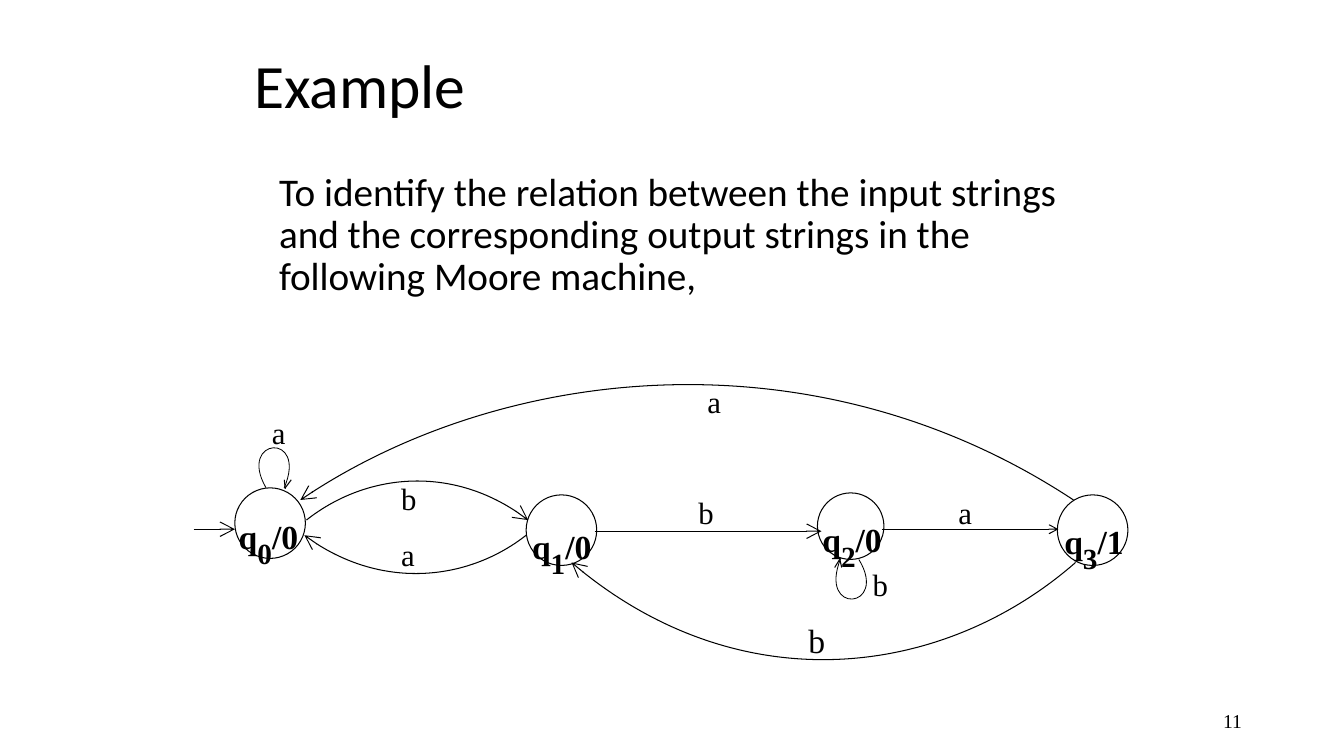
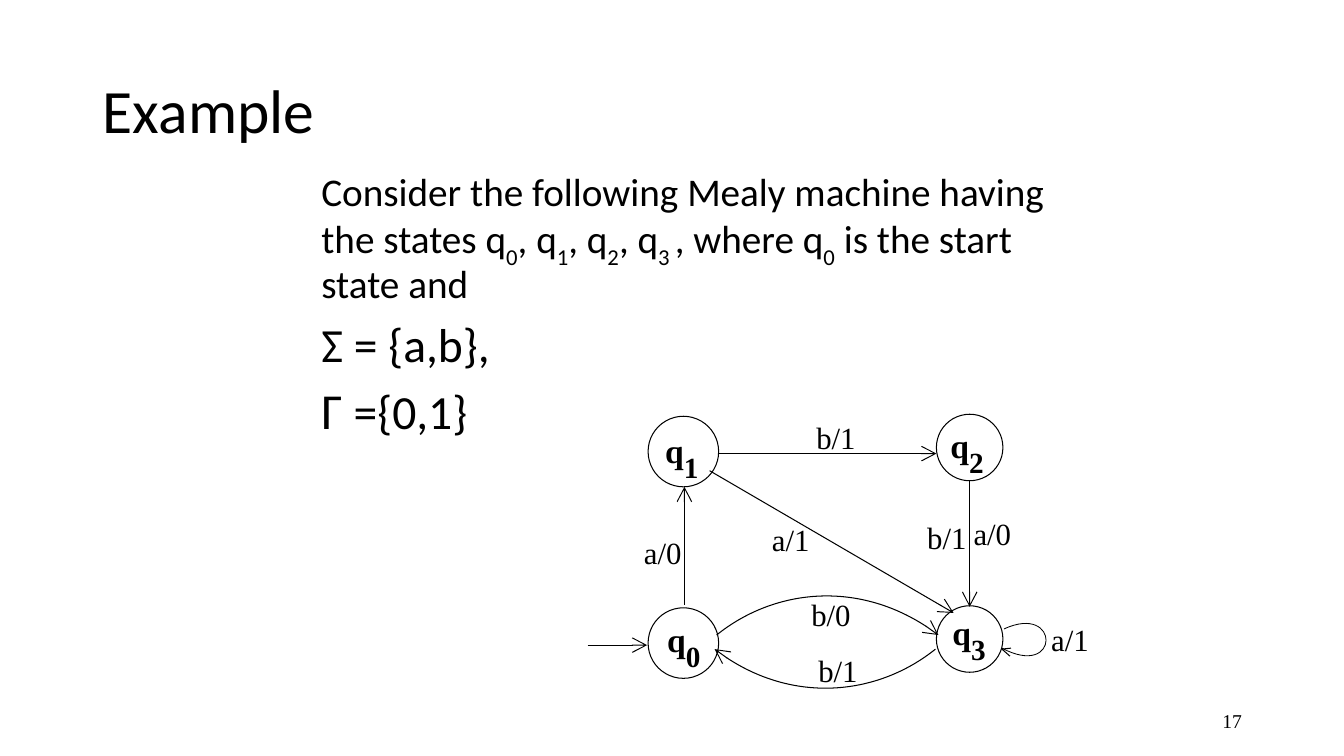
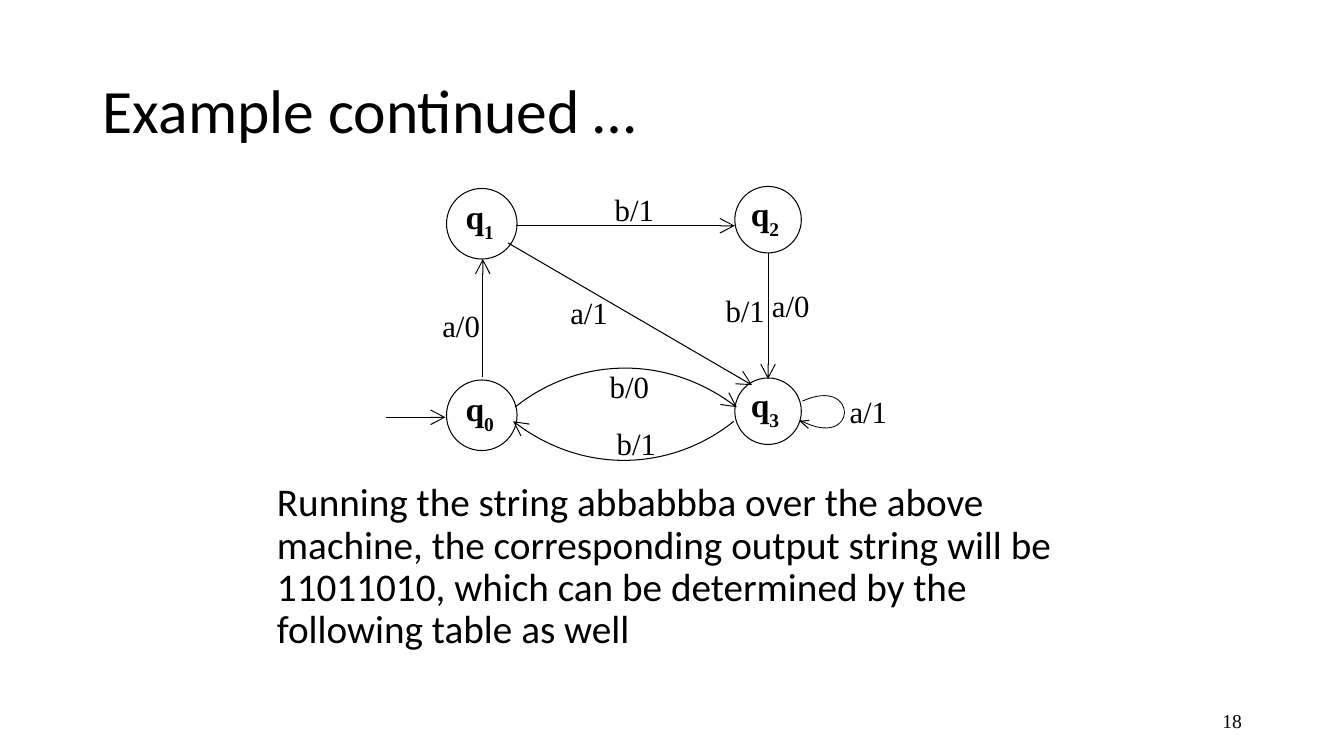
import math

from lxml import etree
from pptx import Presentation
from pptx.dml.color import RGBColor
from pptx.enum import shapes, text
from pptx.oxml.ns import qn
from pptx.util import Inches, Pt

COLORS = {"ink": "000000", "paper": "FFFFFF"}
TITLE_FONT, LABEL_FONT = "Calibri", "Times New Roman"
LINE_WIDTH, LOOP_WIDTH = 0.75, 0.6
MEALY_SHIFT = (-2, -2.26)


def color(name):
    """Return a palette colour."""
    return RGBColor.from_string(COLORS[name])


def style_paragraph(p, font, bold=False, align=text.PP_ALIGN.LEFT):
    """Set the font and alignment of a whole paragraph."""
    p.alignment = align
    p.font.name = font
    p.font.bold = bold
    p.font.color.rgb = color("ink")


def add_runs(p, markup, size, sub_size=None):
    """Add runs; parts between tildes become subscripts."""
    for i, part in enumerate(markup.split("~")):
        if not part:
            continue
        r = p.add_run()
        r.text = part
        r.font.size = Pt(size)
        if i % 2:
            r.font.size = Pt(sub_size or size)
            r._r.get_or_add_rPr().set("baseline", "-30000")


def add_text_box(s, x, y, w, h):
    """Add an empty wrapping text box and return its frame."""
    tf = s.shapes.add_textbox(Inches(x), Inches(y), Inches(w), Inches(h)).text_frame
    tf.word_wrap = True
    return tf


def add_label(s, markup, x, y, w=0.41, h=0.4, size=22, sub_size=None, bold=False):
    """Add a one-line diagram label."""
    p = add_text_box(s, x, y, w, h).paragraphs[0]
    style_paragraph(p, LABEL_FONT, bold)
    add_runs(p, markup, size, sub_size)


def add_body(s, x, y, h, indent, paragraphs):
    """Add body text; each paragraph is a list of (markup, size)."""
    tf = add_text_box(s, x, y, 8.5, h)
    for i, parts in enumerate(paragraphs):
        p = tf.add_paragraph() if i else tf.paragraphs[0]
        style_paragraph(p, TITLE_FONT)
        p.line_spacing = 0.9
        p.space_before = Pt(10)
        p._p.get_or_add_pPr().set("marL", str(Inches(indent)))
        for markup, size in parts:
            add_runs(p, markup, size)


def add_slide(prs, title, number, box=(0.92, 0.4, 11.5, 1.45)):
    """Add a slide with its title and page number."""
    s = prs.slides.add_slide(prs.slide_layouts[5])
    sp = s.shapes.title
    sp.left, sp.top, sp.width, sp.height = map(Inches, box)
    tf = sp.text_frame
    tf.auto_size = text.MSO_AUTO_SIZE.NONE
    tf.vertical_anchor = text.MSO_ANCHOR.MIDDLE
    p = tf.paragraphs[0]
    style_paragraph(p, TITLE_FONT)
    p.line_spacing = 0.9
    add_runs(p, title, 44)

    tf = add_text_box(s, 9.42, 6.95, 3, 0.4)
    tf.vertical_anchor = text.MSO_ANCHOR.MIDDLE
    style_paragraph(tf.paragraphs[0], LABEL_FONT, align=text.PP_ALIGN.RIGHT)
    add_runs(tf.paragraphs[0], str(number), 14)
    return s


def style_line(line, width=LINE_WIDTH):
    """Set an outline's colour and width."""
    line.color.rgb = color("ink")
    line.width = Pt(width)


def add_arrowhead(line, size="lg"):
    """Put an open arrowhead at the end of a line."""
    etree.SubElement(line._get_or_add_ln(), qn("a:tailEnd"), type="arrow", w=size, len=size)


def add_state(s, x, y, d):
    """Add a state circle."""
    sp = s.shapes.add_shape(shapes.MSO_SHAPE.OVAL, Inches(x), Inches(y), Inches(d), Inches(d))
    sp.shadow.inherit = False
    sp.fill.solid()
    sp.fill.fore_color.rgb = color("paper")
    style_line(sp.line)


def add_arrow(s, x1, y1, x2, y2, head="lg"):
    """Add a straight transition arrow."""
    c = s.shapes.add_connector(
        shapes.MSO_CONNECTOR.STRAIGHT, Inches(x1), Inches(y1), Inches(x2), Inches(y2))
    style_line(c.line)
    add_arrowhead(c.line, head)
    etree.SubElement(c._element.spPr, qn("a:effectLst"))


def rotate(x, y, degrees):
    """Turn a point clockwise about the origin."""
    a = math.radians(degrees)
    return x * math.cos(a) - y * math.sin(a), x * math.sin(a) + y * math.cos(a)


def add_outline(s, points, rotation=0, width=LINE_WIDTH):
    """Add an open outline whose points are given as seen after rotation."""
    flat = [rotate(x, y, -rotation) for x, y in points]
    middle = [(min(axis) + max(axis)) / 2 for axis in zip(*flat)]
    cx, cy = rotate(*middle, rotation)
    start, *rest = [(Inches(x - middle[0] + cx), Inches(y - middle[1] + cy)) for x, y in flat]
    builder = s.shapes.build_freeform(*start)
    builder.add_line_segments(rest, close=False)
    sp = builder.convert_to_shape()
    sp.rotation = rotation
    sp.shadow.inherit = False
    sp.fill.background()
    style_line(sp.line, width)
    return sp


def add_curve(s, points, rotation=0, width=LINE_WIDTH):
    """Add a cubic curve from its two ends and two control points."""
    sp = add_outline(s, points, rotation, width)
    segments = list(sp._element.iter(qn("a:lnTo")))
    cubic = etree.SubElement(segments[0].getparent(), qn("a:cubicBezTo"))
    for segment in segments:
        cubic.append(segment[0])
        segment.getparent().remove(segment)
    return sp


def add_arc(s, points, rotation=0):
    """Add a curved transition between two states."""
    add_arrowhead(add_curve(s, points, rotation).line)


def add_loop(s, points, rotation, barbs, barb_rotation):
    """Add a transition from a state to itself, with two strokes as its head."""
    add_curve(s, points, rotation, LOOP_WIDTH)
    for barb in barbs:
        add_outline(s, barb, barb_rotation)


def add_moore_machine(s):
    """Draw the four-state Moore machine."""
    for x, y, d in ((2.33, 4.84, 0.7), (5.22, 4.91, 0.7), (8.11, 4.89, 0.66), (10.49, 4.91, 0.7)):
        add_state(s, x, y, d)
    add_arrow(s, 1.92, 5.25, 2.33, 5.25)
    add_arrow(s, 5.9, 5.27, 8.15, 5.27)
    add_arrow(s, 8.75, 5.25, 10.5, 5.25, "med")
    add_arc(s, ((3.04, 5.16), (3.61, 4.71), (4.52, 4.6), (5.24, 5.16)))
    add_arc(s, ((5.22, 5.31), (4.66, 5.75), (3.75, 5.86), (3.02, 5.31)))
    add_arc(s, ((10.67, 5.58), (9.38, 6.71), (7.32, 6.99), (5.67, 5.58)), 180)
    add_arc(s, ((10.65, 4.96), (8.12, 3.29), (4.95, 3.62), (2.98, 4.96)))
    add_loop(s, ((2.64, 4.84), (2.35, 4.34), (3.06, 4.28), (2.82, 4.84)), 5,
             (((2.83, 4.84), (2.89, 4.76)), ((2.82, 4.76), (2.83, 4.85))), 355)
    add_loop(s, ((8.52, 5.55), (8.82, 6.04), (8.11, 6.11), (8.34, 5.54)), 185,
             (((8.33, 5.55), (8.28, 5.63)), ((8.35, 5.63), (8.33, 5.54))), 175)

    for name, x, y in (("q~0~/0", 2.27, 4.9), ("q~1~/0", 5.18, 5),
                       ("q~2~/0", 8.06, 4.93), ("q~3~/1", 10.46, 4.95)):
        add_label(s, name, x, y, 0.92, 0.52, 24, 36, bold=True)
    for name, x, y in (("b", 3.88, 4.71), ("b", 6.83, 4.85), ("a", 9.41, 4.85),
                       ("a", 6.92, 3.75), ("b", 8.56, 5.56)):
        add_label(s, name, x, y)
    for x, y in ((2.6, 4.06), (3.88, 5.27)):
        add_label(s, "a", x, y, 0.98, 0.67)
    add_label(s, "b", 7.92, 6.1, size=24)


def add_mealy_machine(s, names, sub_size, shift=(0, 0)):
    """Draw the Mealy machine, moved by shift, with state names at given places."""
    dx, dy = shift

    def moved(*points):
        return [(x + dx, y + dy) for x, y in points]

    for x, y, d in ((6.43, 6.03, 0.7), (6.43, 4.13, 0.7), (9.29, 4.11, 0.66), (9.29, 6.01, 0.66)):
        add_state(s, x + dx, y + dy, d)
    for x1, y1, x2, y2 in (
        (5.83, 6.4, 6.42, 6.4), (6.79, 6, 6.79, 4.83), (7.12, 4.5, 9.29, 4.5),
        (9.62, 4.77, 9.62, 6.02), (7.04, 4.67, 9.46, 6.08),
    ):
        add_arrow(s, x1 + dx, y1 + dy, x2 + dx, y2 + dy)
    add_arc(s, moved((7.11, 6.3), (7.67, 5.85), (8.58, 5.74), (9.31, 6.3)))
    add_arc(s, moved((9.28, 6.44), (8.72, 6.89), (7.81, 7), (7.09, 6.44)))
    add_loop(s, moved((9.96, 6.24), (10.52, 5.98), (10.52, 6.74), (9.94, 6.43)), 100,
             (moved((9.94, 6.44), (10.02, 6.51)), moved((10.03, 6.43), (9.94, 6.44))), 90)

    for name, (x, y) in names.items():
        add_label(s, name, x, y, 0.96, 0.45, 24, sub_size, bold=True)
    for name, x, y in (
        ("a/0", 6.29, 5.25), ("b/1", 8, 4.1), ("a/1", 7.56, 5.12), ("b/1", 9.1, 5.1),
        ("a/0", 9.56, 5.06), ("b/0", 7.95, 5.86), ("b/1", 8.02, 6.42), ("a/1", 10.33, 6.11),
    ):
        add_label(s, name, x + dx, y + dy, 1.01, 0.41)


def main():
    """Build and save the presentation."""
    prs = Presentation()
    prs.slide_width, prs.slide_height = Inches(40 / 3), Inches(7.5)

    s = add_slide(prs, "Example", 11, (2.42, 0.25, 8.5, 1.25))
    add_body(s, 2.42, 1.66, 4.5, 0.25, [[(
        "To identify the relation between the input strings and the corresponding "
        "output strings in the following Moore machine, ", 28)]])
    add_moore_machine(s)

    s = add_slide(prs, "Example", 17)
    add_body(s, 2.42, 1.66, 5.42, 0.67, [
        [("Consider the following Mealy machine having the states "
          "q~0~, q~1~, q~2~, q~3 ~, where q~0~ is the start state and", 28)],
        [("Σ = {a,b},", 34)],
        [("Γ ", 36), ("={0,1}", 34)],
    ])
    add_mealy_machine(s, {"q~0~": (6.52, 5.92), "q~1~": (6.5, 4.05),
                          "q~2~": (9.33, 4), "q~3~": (9.35, 5.85)}, 36)

    s = add_slide(prs, "Example continued …", 18)
    add_body(s, 2.4, 4.74, 2.25, 0.25, [[(
        "Running the string abbabbba over the above machine, the corresponding output string "
        "will be 11011010, which can be determined by the following table as well", 28)]])
    add_mealy_machine(s, {"q~0~": (4.52, 3.8), "q~1~": (4.52, 1.89),
                          "q~2~": (7.35, 1.86), "q~3~": (7.35, 3.76)}, 24, MEALY_SHIFT)

    prs.save("out.pptx")


main()
